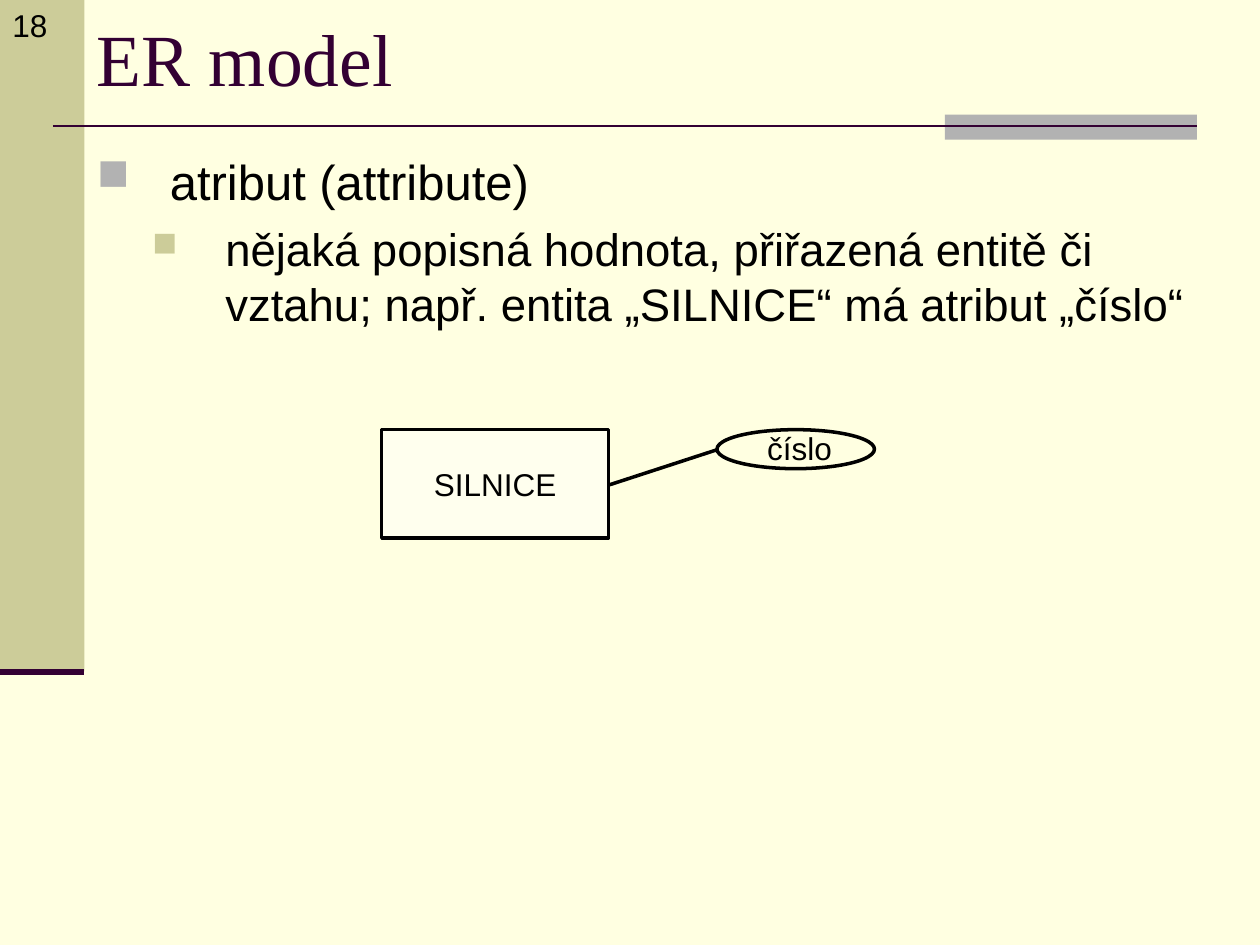
from lxml import etree
from pptx import Presentation
from pptx.dml.color import RGBColor
from pptx.enum import shapes, text
from pptx.oxml import ns
from pptx.util import Inches, Pt

COLORS = {
    "background": "FFFFE1", "olive": "CCCC99", "gray": "B2B2B2",
    "plum": "330033", "black": "000000", "entity": "FFFFEE",
}


def color(name):
    return RGBColor.from_string(COLORS[name])


def write(paragraph, wording, size, font="Arial", ink="black"):
    paragraph.text = wording
    paragraph.font.size = Pt(size)
    paragraph.font.name = font
    paragraph.font.color.rgb = color(ink)


presentation = Presentation()
presentation.slide_width, presentation.slide_height = Inches(10), Inches(7.5)
slide = presentation.slides.add_slide(presentation.slide_layouts[6])
slide.background.fill.solid()
slide.background.fill.fore_color.rgb = color("background")

# Sidebar, accent bar and diagram shapes
RECTANGLE, OVAL = shapes.MSO_SHAPE.RECTANGLE, shapes.MSO_SHAPE.OVAL
for kind, left, top, width, height, fill, outlined, label in [
    (RECTANGLE, 0, 0, 0.67, 5.33, "olive", False, ""),
    (RECTANGLE, 7.5, 0.91, 2, 0.2, "gray", False, ""),
    (RECTANGLE, 3.03, 3.41, 1.8, 0.86, "entity", True, "SILNICE"),
    (OVAL, 5.69, 3.41, 1.25, 0.31, "background", True, ""),
]:
    shape = slide.shapes.add_shape(
        kind, Inches(left), Inches(top), Inches(width), Inches(height))
    shape.shadow.inherit = False
    shape.fill.solid()
    shape.fill.fore_color.rgb = color(fill)
    if outlined:
        shape.line.color.rgb = color("black")
        shape.line.width = Pt(2)
    else:
        shape.line.fill.background()
    if label:
        shape.text_frame.vertical_anchor = text.MSO_ANCHOR.MIDDLE
        paragraph = shape.text_frame.paragraphs[0]
        paragraph.alignment = text.PP_ALIGN.CENTER
        write(paragraph, label, 18)

# Title rule, sidebar base and link from entity to attribute
for x1, y1, x2, y2, ink, weight in [
    (0.42, 1, 9.5, 1, "plum", 1.5),
    (0, 5.33, 0.67, 5.33, "plum", 3.5),
    (4.83, 3.85, 5.69, 3.57, "black", 2),
]:
    connector = slide.shapes.add_connector(
        shapes.MSO_CONNECTOR.STRAIGHT,
        Inches(x1), Inches(y1), Inches(x2), Inches(y2))
    connector.line.color.rgb = color(ink)
    connector.line.width = Pt(weight)
    etree.SubElement(connector._element.spPr, ns.qn("a:effectLst"))

# Title, attribute label and slide number
for wording, left, top, width, height, size, font, ink, anchor, wrap in [
    ("ER model", 0.67, 0, 9.33, 0.91, 42, "Times New Roman", "plum", "MIDDLE", True),
    ("číslo", 5.99, 3.36, 0.73, 0.4, 18, "Arial", "black", "TOP", False),
    ("18", 0, 0, 0.59, 0.5, 18, "Arial", "black", "TOP", True),
]:
    box = slide.shapes.add_textbox(
        Inches(left), Inches(top), Inches(width), Inches(height))
    box.text_frame.word_wrap = wrap
    if not wrap:
        box.text_frame.auto_size = text.MSO_AUTO_SIZE.SHAPE_TO_FIT_TEXT
    box.text_frame.vertical_anchor = text.MSO_ANCHOR[anchor]
    write(box.text_frame.paragraphs[0], wording, size, font, ink)

# Bulleted body
body = slide.shapes.add_textbox(
    Inches(0.67), Inches(1.15), Inches(9.33), Inches(3.23)).text_frame
body.word_wrap = True
for level, (wording, size, before, indent, bullet_color, bullet_size) in enumerate([
    ("atribut (attribute)", 28, 7, 0.58, "gray", 90),
    ("nějaká popisná hodnota, přiřazená entitě či vztahu; "
     "např. entita „SILNICE“ má atribut „číslo“", 26, 6.5, 1.02, "olive", 75),
]):
    paragraph = body.add_paragraph() if level else body.paragraphs[0]
    paragraph.level = level
    paragraph.space_before = Pt(before)
    properties = paragraph._p.get_or_add_pPr()
    properties.set("marL", str(Inches(indent)))
    properties.set("indent", str(-Inches(0.58)))
    bullet = etree.SubElement(properties, ns.qn("a:buClr"))
    etree.SubElement(bullet, ns.qn("a:srgbClr"), val=COLORS[bullet_color])
    etree.SubElement(properties, ns.qn("a:buSzPct"), val=str(bullet_size * 1000))
    etree.SubElement(properties, ns.qn("a:buChar"), char="■")
    write(paragraph, wording, size)

presentation.save("out.pptx")
